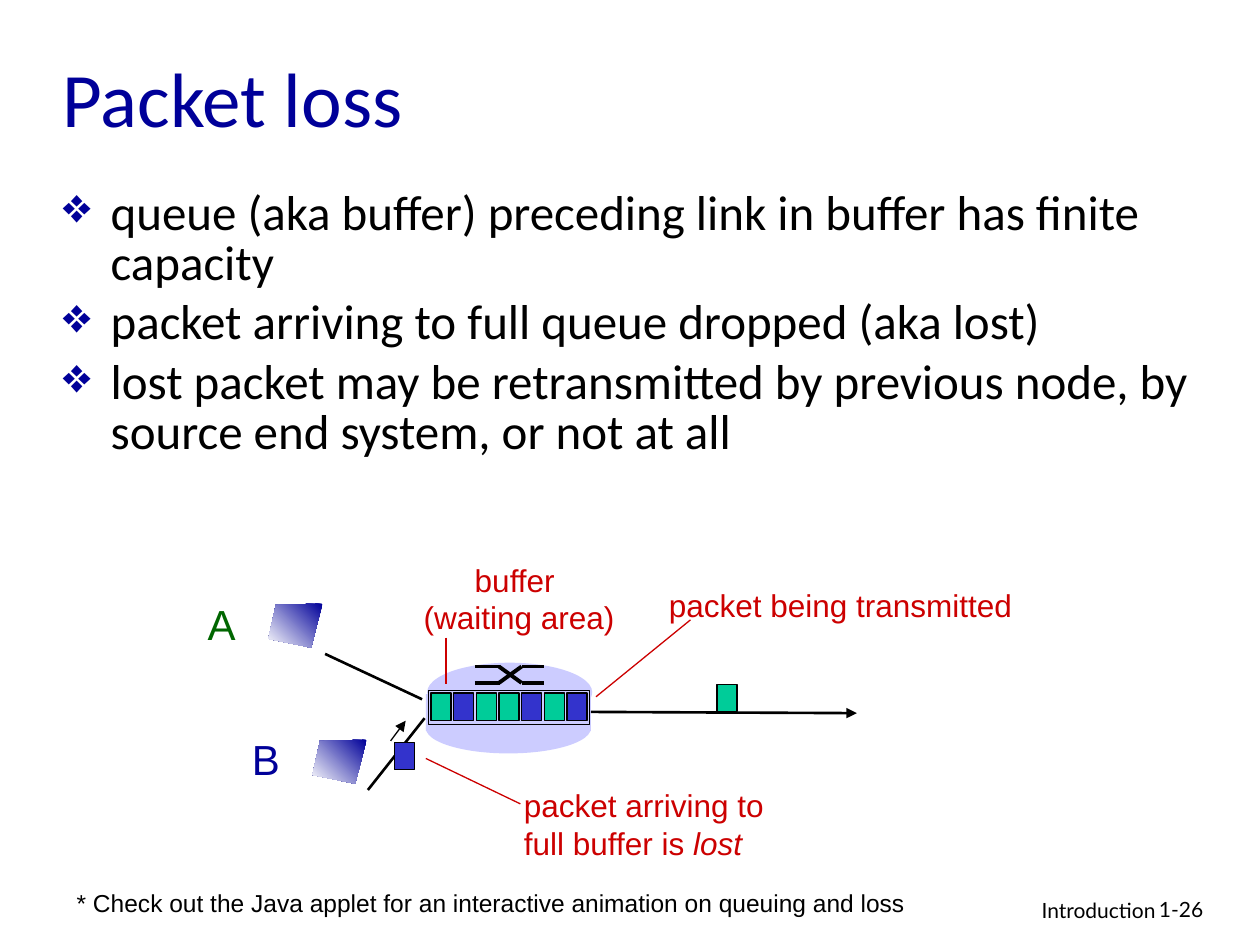
"""Build the packet loss slide with its router queue diagram."""
import lxml.etree
import pptx
import pptx.dml.color
import pptx.enum.shapes
import pptx.enum.text
import pptx.oxml.ns
import pptx.util

Inches = pptx.util.Inches
RGBColor = pptx.dml.color.RGBColor
Align = pptx.enum.text.PP_ALIGN
Shape = pptx.enum.shapes.MSO_SHAPE

BLACK = RGBColor(0x00, 0x00, 0x00)
WHITE = RGBColor(0xFF, 0xFF, 0xFF)
NAVY = RGBColor(0x00, 0x00, 0x99)
DARK_GREEN = RGBColor(0x00, 0x66, 0x00)
RED = RGBColor(0xCC, 0x00, 0x00)
LAVENDER = RGBColor(0xCC, 0xCC, 0xFF)
PACKET_GREEN = RGBColor(0x00, 0xCC, 0x99)
PACKET_BLUE = RGBColor(0x33, 0x33, 0xCC)


def add_element(parent, tag, **attributes):
    return lxml.etree.SubElement(parent, pptx.oxml.ns.qn(tag), attributes)


class SlideBuilder:
    """Hold the text styles and the current slide, and draw each kind of element."""

    styles = {
        "title": {"name": "Calibri", "size": 44, "color": NAVY},
        "body": {"name": "Calibri", "size": 28, "color": BLACK},
        "footer": {"name": "Lato", "size": 12, "color": BLACK},
        "note": {"name": "Arial", "size": 14, "color": BLACK},
        "callout": {"name": "Arial", "size": 18, "color": RED},
        "host_a": {"name": "Arial", "size": 24, "color": DARK_GREEN},
        "host_b": {"name": "Arial", "size": 24, "color": NAVY},
    }

    def __init__(self, page):
        self.page = page

    def text(self, at, lines, style, align=Align.LEFT, wrap=False, middle=False, bullets=False):
        box = self.page.shapes.add_textbox(*map(Inches, at))
        frame = box.text_frame
        frame.word_wrap = wrap
        if not wrap:
            frame.auto_size = pptx.enum.text.MSO_AUTO_SIZE.SHAPE_TO_FIT_TEXT
        if middle:
            frame.vertical_anchor = pptx.enum.text.MSO_ANCHOR.MIDDLE
        for index, line in enumerate(lines):
            para = frame.add_paragraph() if index else frame.paragraphs[0]
            if bullets:
                self.bullet(para)
                para.line_spacing = 0.85
                para.space_before = pptx.util.Pt(5.6 if index else 0)
            para.alignment = align
            for words, italic in [(line, None)] if isinstance(line, str) else line:
                span = para.add_run()
                span.text = words
                self.format_span(span, {**self.styles[style], "italic": italic})

    def format_span(self, span, values):
        for key, value in values.items():
            if key == "color":
                span.font.color.rgb = value
            else:
                setattr(span.font, key, pptx.util.Pt(value) if key == "size" else value)

    def bullet(self, para):
        properties = para._p.get_or_add_pPr()
        properties.set("marL", str(Inches(0.38)))
        properties.set("indent", str(-Inches(0.38)))
        add_element(add_element(properties, "a:buClr"), "a:srgbClr", val=str(NAVY))
        add_element(properties, "a:buSzPct", val="100000")
        add_element(properties, "a:buChar", char="❖")

    def shape(self, kind, at, fill=None, line=None):
        shape = self.page.shapes.add_shape(kind, *map(Inches, at))
        shape.shadow.inherit = False
        if fill is None:
            shape.fill.background()
        else:
            shape.fill.solid()
            shape.fill.fore_color.rgb = fill
        if line is None:
            shape.line.fill.background()
        else:
            shape.line.color.rgb = line
            shape.line.width = pptx.util.Pt(0.75)

    def packet(self, left, top, color):
        self.shape(Shape.RECTANGLE, (left, top, 0.16, 0.22), color, BLACK)

    def line(self, start, end, color=BLACK, width=0.75, arrow=False):
        connector = self.page.shapes.add_connector(
            pptx.enum.shapes.MSO_CONNECTOR.STRAIGHT, *map(Inches, start + end))
        connector.line.color.rgb = color
        connector.line.width = pptx.util.Pt(width)
        if arrow:
            add_element(connector.line._get_or_add_ln(), "a:tailEnd", type="triangle")
        add_element(connector._element.spPr, "a:effectLst")

    def screen(self, left, top):
        outline = [(0.43, 0), (0.06, 0.01), (0, 0.28), (0.34, 0.35)]
        points = [(Inches(left + x), Inches(top + y)) for x, y in outline]
        builder = self.page.shapes.build_freeform(*points[0])
        builder.add_line_segments(points[1:], close=True)
        shape = builder.convert_to_shape()
        shape.shadow.inherit = False
        shape.line.fill.background()
        shape.fill.gradient()
        shape.fill.gradient_angle = 225
        for stop, color in zip(shape.fill.gradient_stops, (NAVY, WHITE)):
            stop.color.rgb = color


def draw_text(slide):
    slide.text((0.4, 0.14, 8.5, 1.25), ["Packet loss"], "title", wrap=True, middle=True)
    slide.text((0.4, 1.46, 9.18, 5.08), [
        "queue (aka buffer) preceding link in buffer has finite capacity",
        "packet arriving to full queue dropped (aka lost)",
        "lost packet may be retransmitted by previous node, by source end system, or not at all",
    ], "body", wrap=True, bullets=True)
    slide.text((6.1, 7.07, 3.17, 0.31), ["Introduction"], "footer", Align.RIGHT, wrap=True)
    slide.text((9.1, 7.07, 0.74, 0.3), ["1-26"], "footer", wrap=True)
    slide.text((0.51, 7, 6.81, 0.34), [
        "* Check out the Java applet for an interactive animation on queuing and loss"], "note")


def draw_router(slide):
    slide.shape(Shape.OVAL, (3.38, 5.58, 1.31, 0.4), LAVENDER)
    slide.shape(Shape.RECTANGLE, (3.38, 5.51, 1.31, 0.29), LAVENDER)
    slide.shape(Shape.OVAL, (3.39, 5.26, 1.31, 0.47), LAVENDER)
    for near, far in ((5.29, 5.42), (5.42, 5.29)):
        for start, end in (((3.77, near), (3.97, near)),
                           ((3.96, near), (4.14, far)),
                           ((4.14, far), (4.32, far))):
            slide.line(start, end, width=2.25)


def draw_links(slide):
    slide.line((2.58, 5.19), (3.35, 5.55), width=1.5)
    slide.line((2.92, 6.27), (3.37, 5.7), width=1.5)
    slide.line((4.69, 5.65), (6.8, 5.66), width=1.5, arrow=True)
    slide.line((3.1, 5.88), (3.22, 5.72), arrow=True)


def draw_packets(slide):
    queue = [PACKET_GREEN, PACKET_BLUE, PACKET_GREEN, PACKET_GREEN,
             PACKET_BLUE, PACKET_GREEN, PACKET_BLUE]
    for index, color in enumerate(queue):
        slide.packet(3.42 + 0.18 * index, 5.5, color)
    slide.packet(5.69, 5.43, PACKET_GREEN)
    slide.packet(3.13, 5.89, PACKET_BLUE)
    slide.shape(Shape.RECTANGLE, (3.4, 5.48, 1.28, 0.27), line=BLACK)


def draw_labels(slide):
    slide.text((1.55, 4.7, 0.42, 0.5), ["A"], "host_a")
    slide.text((1.9, 5.77, 0.42, 0.5), ["B"], "host_b")
    slide.screen(2.13, 4.79)
    slide.screen(2.48, 5.87)
    slide.text((5.21, 4.6, 3, 0.4), ["packet being transmitted"], "callout")
    slide.text((4.06, 6.19, 2.2, 0.7), [
        "packet arriving to", [("full buffer is ", None), ("lost", True)]], "callout")
    slide.text((3.26, 4.4, 1.72, 0.7), ["buffer ", "(waiting area)"], "callout", Align.CENTER)
    for start, end in (((5.48, 4.92), (4.73, 5.53)),
                       ((4.13, 6.38), (3.38, 6.02)),
                       ((3.54, 5.06), (3.54, 5.43))):
        slide.line(start, end, RED)


def main():
    deck = pptx.Presentation()
    deck.slide_width, deck.slide_height = Inches(10), Inches(7.5)
    slide = SlideBuilder(deck.slides.add_slide(deck.slide_layouts[6]))
    for draw in (draw_text, draw_router, draw_links, draw_packets, draw_labels):
        draw(slide)
    deck.save("out.pptx")


if __name__ == "__main__":
    main()
